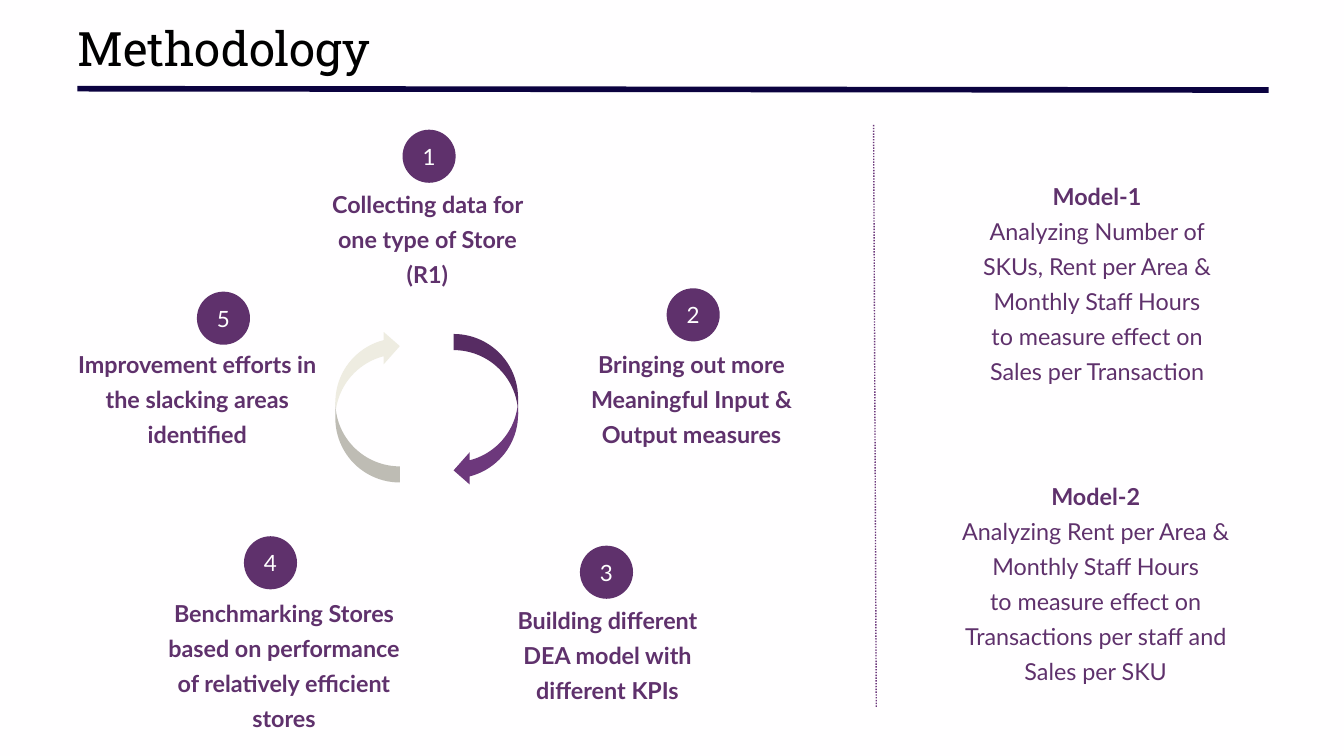
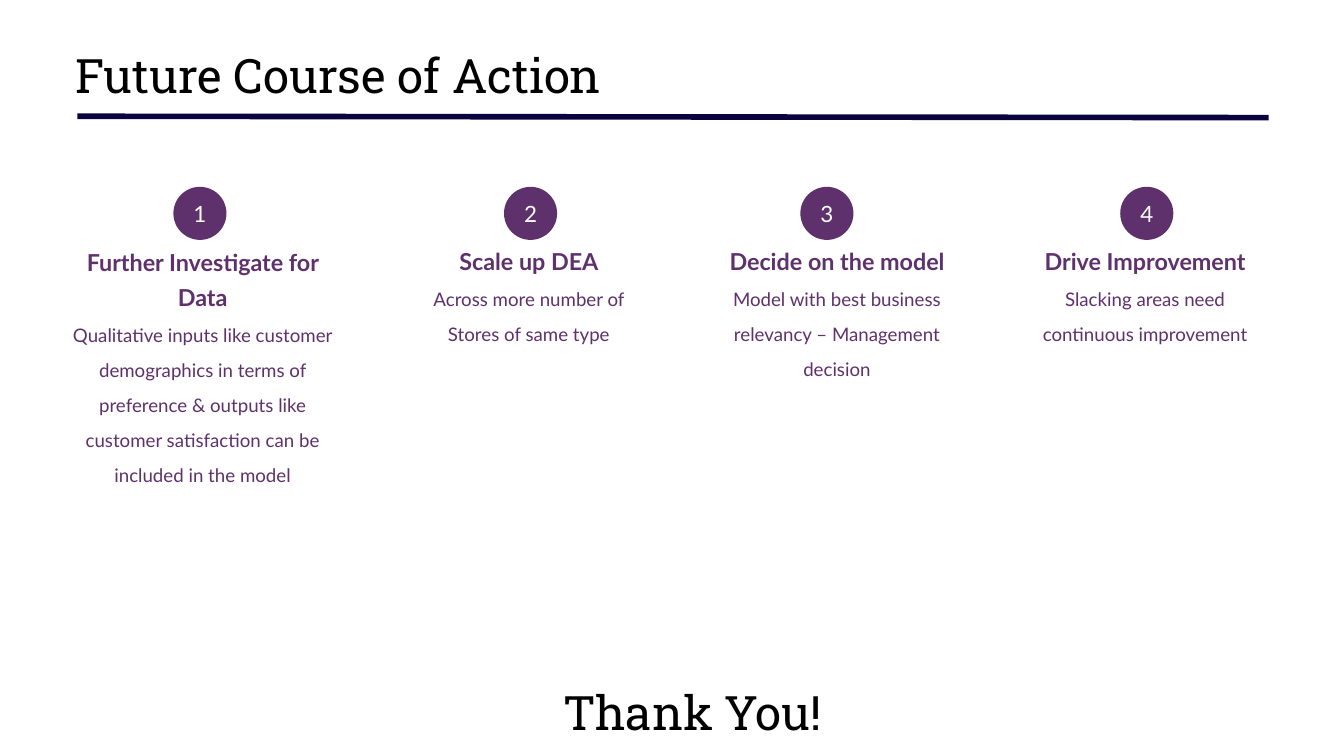
import pptx
import pptx.dml.color
import pptx.enum.dml
import pptx.enum.shapes
import pptx.enum.text
import pptx.oxml
import pptx.oxml.ns
import pptx.util
from pptx.util import Inches

HUES = {
    "ink": "000000",
    "rule": "0B0240",
    "plum": "5F316C",
    "lilac": "6D387C",
    "sand": "EEECE1",
    "white": "FFFFFF",
    "mist": "FFFEFF",
}
HEAD, BODY = "Roboto Slab", "Lato"
DOT = 0.79
SHAPE = pptx.enum.shapes.MSO_SHAPE
ALIGN = pptx.enum.text.PP_ALIGN


class Deck:
    """Holds the shared style and the current slide."""

    def __init__(self):
        self.file = pptx.Presentation()
        self.file.slide_width = Inches(20)
        self.file.slide_height = Inches(11.25)
        self.slide = None

    def hue(self, name):
        return pptx.dml.color.RGBColor.from_string(HUES[name])

    def page(self, back):
        self.slide = self.file.slides.add_slide(self.file.slide_layouts[6])
        fill = self.slide.background.fill
        fill.solid()
        fill.fore_color.rgb = self.hue(back)

    def style(self, para, face, size, hue, bold=False):
        for run in para.runs:
            run.font.name = face
            run.font.size = pptx.util.Pt(size)
            run.font.bold = bold
            run.font.color.rgb = self.hue(hue)

    def box(self, area, lines, home=None):
        shapes = (home or self.slide).shapes
        frame = shapes.add_textbox(*map(Inches, area)).text_frame
        frame.word_wrap = True
        frame.margin_left = frame.margin_right = 0
        frame.margin_top = frame.margin_bottom = 0
        frame.text = "\n".join(lines)
        return frame

    def title(self, area, text, align=ALIGN.LEFT):
        para = self.box(area, [text]).paragraphs[0]
        para.alignment = align
        para.line_spacing = pptx.util.Pt(61)
        self.style(para, HEAD, 50.8, "ink")

    def note(self, area, lines, size=25, home=None):
        for i, para in enumerate(self.box(area, lines, home).paragraphs):
            para.level = 1
            para.alignment = ALIGN.CENTER
            para.line_spacing = pptx.util.Pt(37.5)
            props = para._p.get_or_add_pPr()
            props.set("marL", str(Inches(0.3)))
            props.set("indent", "0")
            self.style(para, BODY, size if i else 25, "plum", i == 0)

    def shape(self, kind, area, hue, home=None):
        item = (home or self.slide).shapes.add_shape(kind, *map(Inches, area))
        item.shadow.inherit = False
        item.fill.solid()
        item.fill.fore_color.rgb = self.hue(hue)
        item.line.fill.background()
        return item

    def step(self, num, left, top, area, lines, size=25):
        group = self.slide.shapes.add_group_shape()
        dot = self.shape(SHAPE.OVAL, (left, top, DOT, DOT), "plum", group)
        frame = dot.text_frame
        frame.text = str(num)
        frame.vertical_anchor = pptx.enum.text.MSO_ANCHOR.MIDDLE
        para = frame.paragraphs[0]
        para.alignment = ALIGN.CENTER
        self.style(para, BODY, 24, "white")
        self.note(area, lines, size, group)

    def line(self, start, end, hue, width, dash=None):
        link = self.slide.shapes.add_connector(
            pptx.enum.shapes.MSO_CONNECTOR.STRAIGHT, *map(Inches, start + end))
        link.line.color.rgb = self.hue(hue)
        link.line.width = pptx.util.Pt(width)
        if dash:
            link.line.dash_style = dash
        props = link._element.spPr
        props.append(pptx.oxml.parse_xml(
            "<a:effectLst %s/>" % pptx.oxml.ns.nsdecls("a")))

    def rule(self, top):
        self.line((1.15, top), (18.88, top + 0.02), "rule", 6)

    def arrow(self, left, top, hue, turn=0):
        area = (left, top, 0.96, 2.27)
        self.shape(SHAPE.CURVED_LEFT_ARROW, area, hue).rotation = turn


def method(deck):
    """Builds the cycle of five steps and the two models."""
    deck.page("mist")
    deck.title((1.15, 0.28, 5.28, 0.81), "Methodology")
    deck.rule(1.32)
    steps = [
        (5.99, 1.93, (4.49, 2.72, 3.44, 1.51),
         "Collecting data for one type of Store (R1)"),
        (9.92, 4.29, (8.42, 5.11, 3.44, 1.51),
         "Bringing out more Meaningful Input & Output measures"),
        (8.63, 8.12, (7.17, 8.91, 3.44, 1.51),
         "Building different DEA model with different KPIs"),
        (3.63, 7.98, (2.05, 8.81, 4.05, 2.03),
         "Benchmarking Stores based on performance of relatively efficient stores"),
        (2.93, 4.34, (0.76, 5.11, 4.05, 1.51),
         "Improvement efforts in the slacking areas identified"),
    ]
    for num, (left, top, area, text) in enumerate(steps, 1):
        deck.step(num, left, top, area, [text])
    deck.line((13, 1.86), (13.04, 10.54), "lilac", 1.5,
              pptx.enum.dml.MSO_LINE.ROUND_DOT)
    deck.arrow(6.75, 4.97, "lilac")
    deck.arrow(4.99, 4.91, "sand", 180)
    deck.note((14.03, 2.61, 4.29, 3.07), [
        "Model-1",
        "Analyzing Number of SKUs, Rent per Area & Monthly Staff Hours",
        "to measure effect on",
        "Sales per Transaction"])
    deck.note((14.01, 7.07, 4.29, 3.07), [
        "Model-2",
        "Analyzing Rent per Area & Monthly Staff Hours",
        "to measure effect on",
        "Transactions per staff and Sales per SKU"])


def future(deck):
    """Builds the row of four next steps and the closing words."""
    deck.page("white")
    deck.title((1.12, 0.68, 9.18, 0.84), "Future Course of Action")
    deck.rule(1.73)
    steps = [
        (2.58, (0.67, 3.59, 4.39, 4.09), "Further Investigate for Data",
         "Qualitative inputs like customer demographics in terms of preference "
         "& outputs like customer satisfaction can be included in the model"),
        (7.5, (6, 3.57, 3.44, 1.49), "Scale up DEA",
         "Across more number of Stores of same type"),
        (11.91, (10.39, 3.57, 3.83, 2.53), "Decide on the model",
         "Model with best business relevancy – Management decision"),
        (16.67, (15.17, 3.57, 3.44, 2.01), "Drive Improvement",
         "Slacking areas need continuous improvement"),
    ]
    for num, (left, area, *lines) in enumerate(steps, 1):
        deck.step(num, left, 2.78, area, lines, 20)
    deck.title((5.71, 10.16, 9.18, 0.81), "Thank You!", ALIGN.CENTER)


def main():
    """Builds both slides and saves them."""
    deck = Deck()
    method(deck)
    future(deck)
    deck.file.save("out.pptx")


if __name__ == "__main__":
    main()
